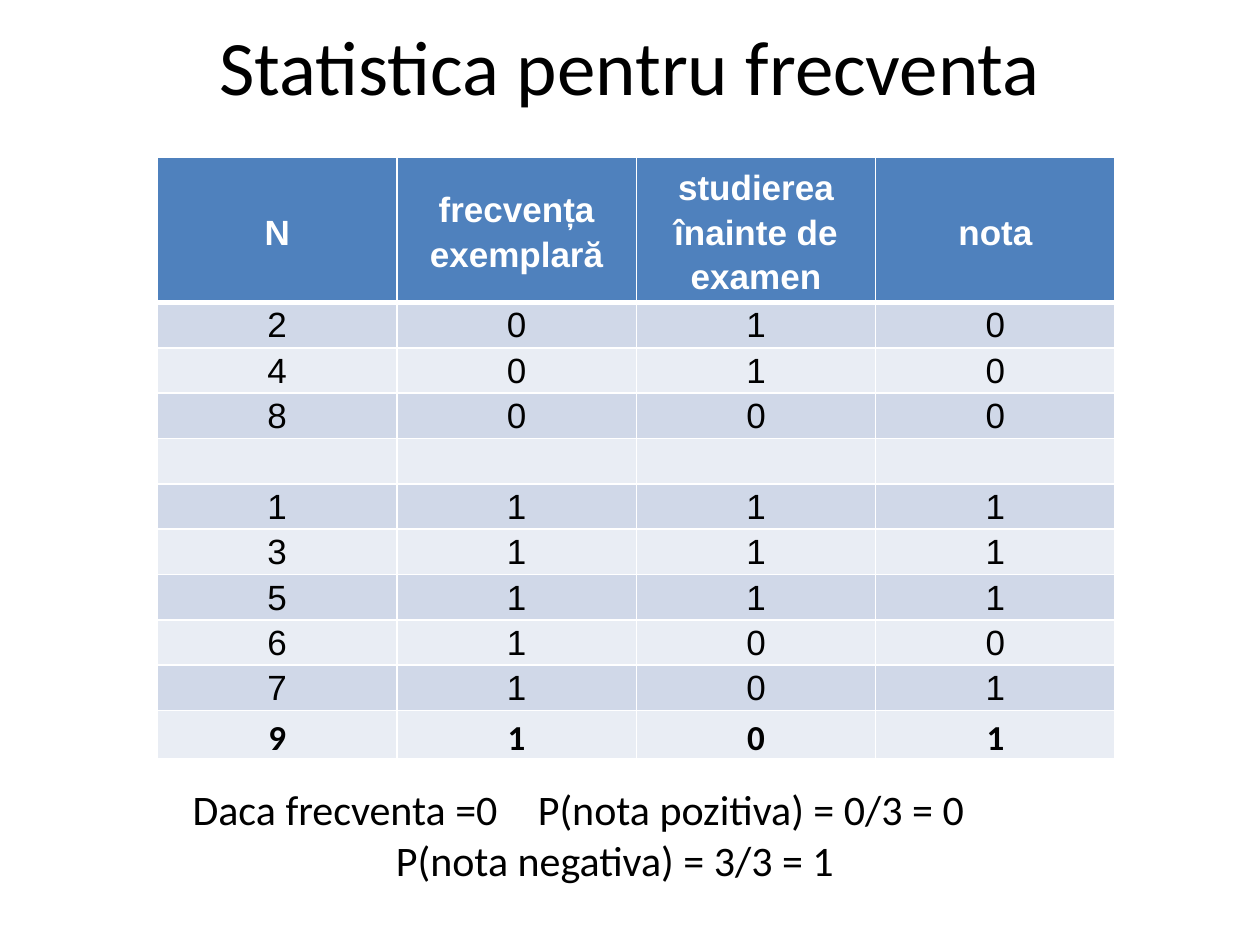
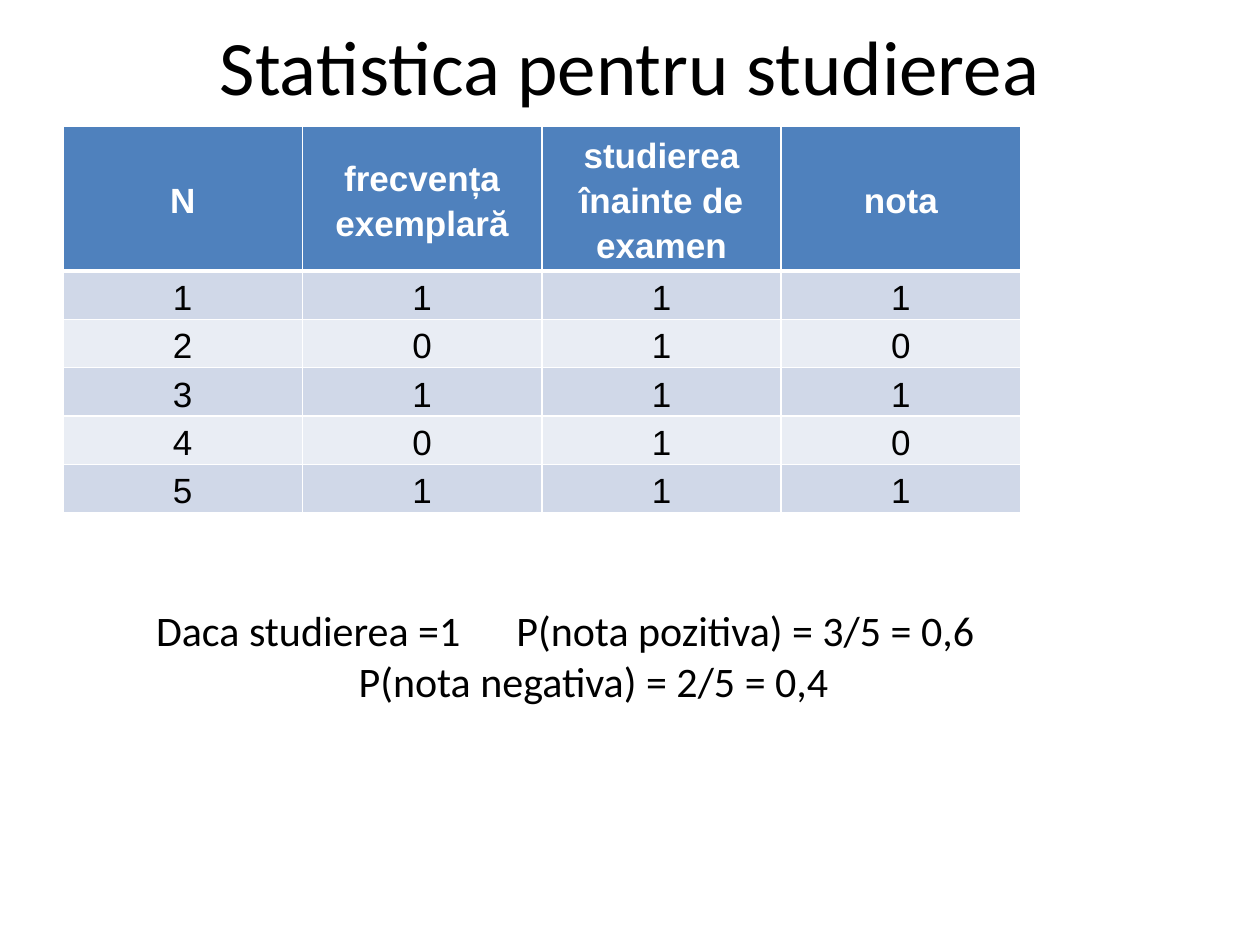
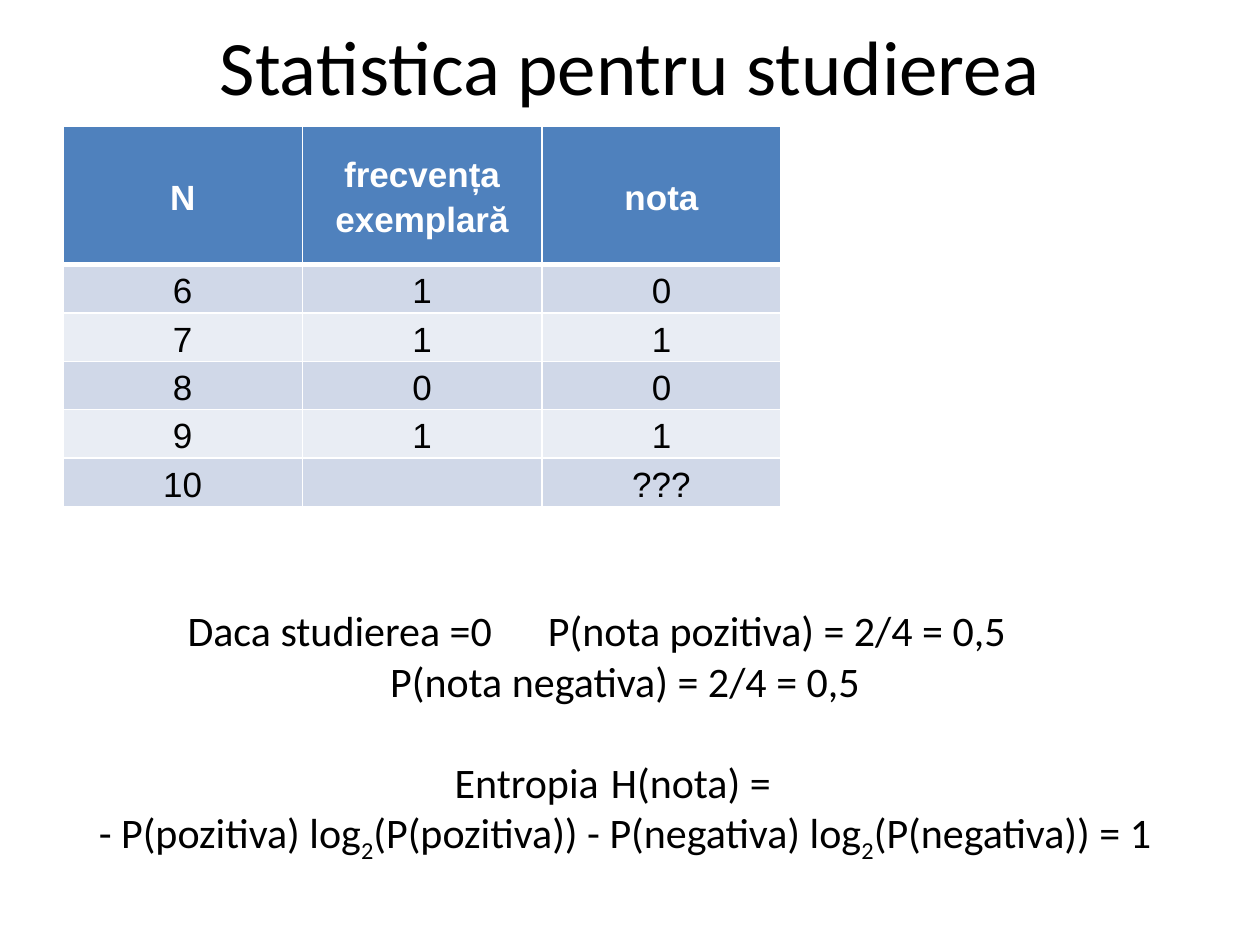
import dataclasses

import lxml.etree
import pptx
import pptx.dml.color
import pptx.enum.text
import pptx.oxml.ns
import pptx.util

Inches = pptx.util.Inches
Pt = pptx.util.Pt
CENTER = pptx.enum.text.PP_ALIGN.CENTER
MIDDLE = pptx.enum.text.MSO_ANCHOR.MIDDLE
qn = pptx.oxml.ns.qn


@dataclasses.dataclass(frozen=True)
class Theme:
    text: str = "000000"
    light: str = "FFFFFF"
    header: str = "4F81BD"
    bands: tuple = ("D0D8E8", "E9EDF4")
    text_font: str = "Calibri"
    table_font: str = "Arial"
    title_size: int = 44
    body_size: int = 24
    table_size: int = 20
    border: int = 1
    header_border: int = 3
    column_width: float = 1.9
    row_height: float = 0.36


THEME = Theme()


def style_font(para, name, size, color=THEME.text, bold=False):
    para.font.name = name
    para.font.size = Pt(size)
    para.font.bold = bold
    para.font.color.rgb = pptx.dml.color.RGBColor.from_string(color)


def set_border(cell, side, width):
    line = lxml.etree.SubElement(cell._tc.get_or_add_tcPr(), qn(f"a:ln{side}"), w=str(Pt(width)))
    fill = lxml.etree.SubElement(line, qn("a:solidFill"))
    lxml.etree.SubElement(fill, qn("a:srgbClr"), val=THEME.light)


FULL_HEADER = ["N", "frecvența exemplară", "studierea înainte de examen", "nota"]

# Each formula line is (indent, tab stop, space before, text); without an indent it is centred.
# An underscore in the text starts a one-character subscript.
SLIDES = [
    dict(
        title="Statistica pentru frecventa",
        table_at=(1.25, 1.25),
        header_height=1.14,
        rows=[FULL_HEADER, "2010", "4010", "8000", [""] * 4, "1111",
              "3111", "5111", "6100", "7101", "9101"],
        compact=True,
        formula_at=(0.17, 6.17, 9.42, 0.91),
        formulas=[
            (1.26, 3.91, 0, "Daca frecventa =0\tP(nota pozitiva) = 0/3 = 0"),
            (None, None, 0, "P(nota negativa) = 3/3 = 1"),
        ],
    ),
    dict(
        title="Statistica pentru studierea",
        table_at=(0.5, 1),
        header_height=1.1,
        rows=[FULL_HEADER, "1111", "2010", "3111", "4010", "5111"],
        compact=False,
        formula_at=(0, 4.75, 9.42, 1.31),
        formulas=[
            (1.14, 3.78, 0, "Daca studierea =1\tP(nota pozitiva) = 3/5 = 0,6"),
            (None, None, 0, "P(nota negativa) = 2/5 = 0,4"),
        ],
    ),
    dict(
        title="Statistica pentru studierea",
        table_at=(0.5, 1),
        header_height=1.1,
        rows=[["N", "frecvența exemplară", "nota"],
              "610", "711", "800", "911", ["10", "", "???"]],
        compact=False,
        formula_at=(0.25, 4.75, 9.42, 2.52),
        formulas=[
            (1.14, 3.78, 0, "Daca studierea =0\tP(nota pozitiva) = 2/4 = 0,5"),
            (None, None, 0, "P(nota negativa) = 2/4 = 0,5"),
            (3.26, 4.63, 29, "Entropia\tH(nota) ="),
            (None, None, 0, "- P(pozitiva) log_2(P(pozitiva)) - P(negativa) log_2(P(negativa)) = 1"),
        ],
    ),
]

deck = pptx.Presentation()
deck.slide_width = Inches(10)
deck.slide_height = Inches(7.5)

for content in SLIDES:
    page = deck.slides.add_slide(deck.slide_layouts[6])

    title_box = page.shapes.add_textbox(Inches(0.5), Inches(0.08), Inches(9), Inches(0.87))
    title_frame = title_box.text_frame
    title_frame.word_wrap = True
    title_frame.vertical_anchor = MIDDLE
    title_frame.text = content["title"]
    title_frame.paragraphs[0].alignment = CENTER
    style_font(title_frame.paragraphs[0], THEME.text_font, THEME.title_size)

    rows = content["rows"]
    column_count = len(rows[0])
    left, top = content["table_at"]
    height = content["header_height"] + THEME.row_height * (len(rows) - 1)
    table = page.shapes.add_table(
        len(rows), column_count, Inches(left), Inches(top),
        Inches(THEME.column_width * column_count), Inches(height)).table
    for column in table.columns:
        column.width = Inches(THEME.column_width)

    for row_index, values in enumerate(rows):
        is_header = row_index == 0
        is_bold_total = content["compact"] and row_index == len(rows) - 1
        is_compact = content["compact"] and not is_header and not is_bold_total
        table.rows[row_index].height = Inches(
            content["header_height"] if is_header else THEME.row_height)
        fill_color = THEME.header if is_header else THEME.bands[(row_index - 1) % 2]

        for column_index, value in enumerate(values):
            cell = table.cell(row_index, column_index)
            cell.vertical_anchor = MIDDLE
            cell.margin_left = cell.margin_right = Inches(0.01 if is_compact else 0.07)
            cell.margin_top = Inches(0.01 if is_compact else 0)
            cell.margin_bottom = 0
            for side in "LRTB":
                under_header = (row_index, side) in ((0, "B"), (1, "T"))
                set_border(cell, side, THEME.header_border if under_header else THEME.border)
            cell.fill.solid()
            cell.fill.fore_color.rgb = pptx.dml.color.RGBColor.from_string(fill_color)

            cell.text = value
            para = cell.text_frame.paragraphs[0]
            para.alignment = CENTER
            if not is_compact:
                para.line_spacing = 1.15
                para.space_after = Pt(10)
            style_font(para, THEME.text_font if is_bold_total else THEME.table_font,
                       THEME.table_size, THEME.light if is_header else THEME.text,
                       is_header or is_bold_total)

    formula_box = page.shapes.add_textbox(*[Inches(length) for length in content["formula_at"]])
    formula_frame = formula_box.text_frame
    formula_frame.word_wrap = True
    for index, (indent, tab_stop, space_before, text) in enumerate(content["formulas"]):
        para = formula_frame.paragraphs[0] if index == 0 else formula_frame.add_paragraph()
        if indent is None:
            para.alignment = CENTER
        else:
            properties = para._p.get_or_add_pPr()
            properties.set("marL", "0")
            properties.set("indent", str(Inches(indent)))
            tabs = lxml.etree.SubElement(properties, qn("a:tabLst"))
            lxml.etree.SubElement(tabs, qn("a:tab"), pos=str(Inches(tab_stop)), algn="l")
        if space_before:
            para.space_before = Pt(space_before)
        style_font(para, THEME.text_font, THEME.body_size)

        plain, *subscripted = text.split("_")
        para.add_run().text = plain
        for piece in subscripted:
            span = para.add_run()
            span.text = piece[0]
            span._r.get_or_add_rPr().set("baseline", "-25000")
            para.add_run().text = piece[1:]

deck.save("out.pptx")
